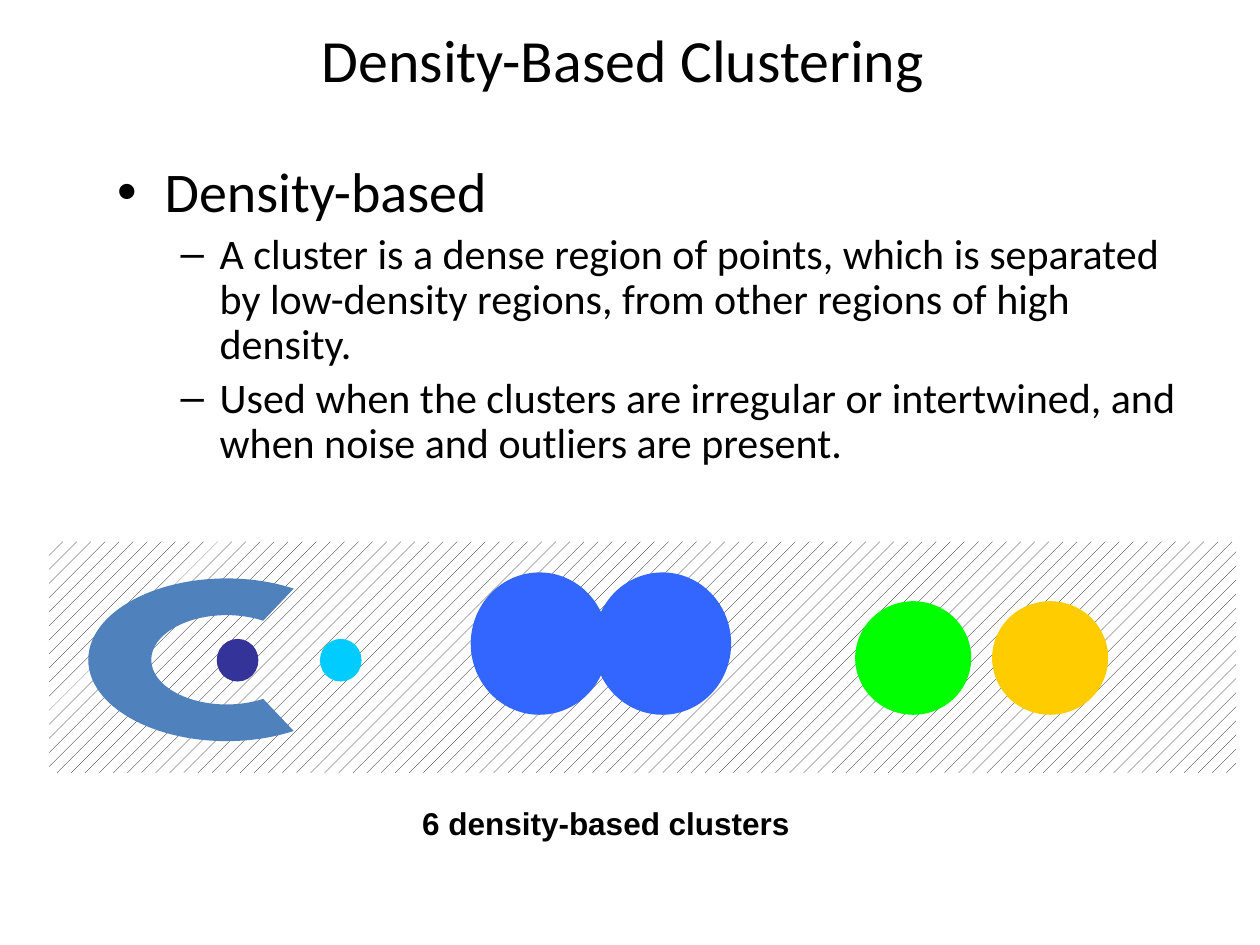
"""Build the density-based clustering slide."""
from dataclasses import dataclass
from itertools import pairwise
from math import cos, radians, sin, tan

from lxml.etree import SubElement
from pptx import Presentation
from pptx.dml.color import RGBColor
from pptx.enum.dml import MSO_PATTERN
from pptx.enum.shapes import MSO_SHAPE
from pptx.enum.text import MSO_ANCHOR, PP_ALIGN
from pptx.oxml.ns import qn
from pptx.util import Cm, Pt


@dataclass(frozen=True)
class Theme:
    ink: str = "000000"
    paper: str = "FFFFFF"
    arc: str = "4F81BD"
    navy: str = "333399"
    cyan: str = "00CCFF"
    green: str = "00FF00"
    gold: str = "FFCC00"
    blue: str = "3366FF"
    main_font: str = "Calibri"
    caption_font: str = "Arial"
    title_size: float = 34.2
    topic_size: float = 32
    detail_size: float = 24
    caption_size: float = 18


@dataclass(frozen=True)
class Bullet:
    text: str
    level: int
    mark: str
    size: float
    margin: float
    hanging: float
    space_before: float


@dataclass(frozen=True)
class Disc:
    left: float
    top: float
    width: float
    height: float
    color: str


THEME = Theme()
ARC_WIDTH, ARC_HEIGHT = 3.28, 5.58
Point = tuple[float, float]


def detail(text: str) -> Bullet:
    return Bullet(text, 1, "–", THEME.detail_size, 2.07, 0.79, 4.8)


BULLETS = [
    Bullet("Density-based", 0, "•", THEME.topic_size, 0.96, 0.96, 0),
    detail("A cluster is a dense region of points, which is separated by "
           "low-density regions, from other regions of high density. "),
    detail("Used when the clusters are irregular or intertwined, and when "
           "noise and outliers are present. "),
]

CORE = Disc(4.37, 12.88, 0.84, 0.86, THEME.navy)
DISCS = [
    Disc(6.45, 12.88, 0.84, 0.86, THEME.cyan),
    Disc(17.24, 12.12, 2.34, 2.29, THEME.green),
    Disc(20, 12.12, 2.34, 2.29, THEME.gold),
    Disc(9.49, 11.54, 2.77, 2.87, THEME.blue),
    Disc(11.97, 11.54, 2.77, 2.87, THEME.blue),
]


def add_box(page, left: float, top: float, width: float, height: float):
    box = page.shapes.add_textbox(Cm(left), Cm(top), Cm(width), Cm(height))
    box.text_frame.word_wrap = True
    return box


def write(para, text: str, font: str, size: float, bold: bool = False) -> None:
    para.text = text
    for span in para.runs:
        span.font.name = font
        span.font.size = Pt(size)
        span.font.bold = bold
        span.font.color.rgb = RGBColor.from_string(THEME.ink)


def add_bullet(para, bullet: Bullet) -> None:
    write(para, bullet.text, THEME.main_font, bullet.size)
    para.level = bullet.level
    para.line_spacing = 0.9
    para.space_before = Pt(bullet.space_before)
    properties = para._p.get_or_add_pPr()
    properties.set("marL", str(Cm(bullet.margin)))
    properties.set("indent", str(-Cm(bullet.hanging)))
    SubElement(properties, qn("a:buFont"), typeface=THEME.caption_font)
    SubElement(properties, qn("a:buChar"), char=bullet.mark)


def paint(shape, color: str) -> None:
    shape.shadow.inherit = False
    shape.line.fill.background()
    shape.fill.solid()
    shape.fill.fore_color.rgb = RGBColor.from_string(color)


def arc_point(radius_x: float, radius_y: float, angle: float, pull: float = 0) -> Point:
    across = sin(angle) + pull * cos(angle)
    upward = cos(angle) - pull * sin(angle)
    return ARC_WIDTH / 2 + radius_x * across, ARC_HEIGHT / 2 - radius_y * upward


def add_segment(outline, kind: str, *points: Point) -> None:
    segment = SubElement(outline, qn(f"a:{kind}"))
    for x, y in points:
        SubElement(segment, qn("a:pt"), x=str(Cm(x)), y=str(Cm(y)))


def add_curves(outline, radii: Point, angles: list[float]) -> None:
    for start, end in pairwise(angles):
        pull = 4 / 3 * tan((end - start) / 4)
        add_segment(outline, "cubicBezTo", arc_point(*radii, start, pull),
                    arc_point(*radii, end, -pull), arc_point(*radii, end))


def add_arc(group) -> None:
    left, top = Cm(2.93), Cm(10.51)
    right, bottom = left + Cm(ARC_WIDTH), top + Cm(ARC_HEIGHT)
    builder = group.shapes.build_freeform(left, top)
    builder.add_line_segments([(right, top), (right, bottom), (left, bottom)])
    arc = builder.convert_to_shape()
    outline = next(arc._element.iter(qn("a:path")))
    for segment in list(outline):
        outline.remove(segment)
    inner, outer = (0.9, 1.52), (ARC_WIDTH / 2, ARC_HEIGHT / 2)
    angles = [radians(angle) for angle in (-119, -90, 0, 90, 119)]
    add_segment(outline, "moveTo", arc_point(*inner, angles[0]))
    add_curves(outline, inner, angles)
    add_segment(outline, "lnTo", arc_point(*outer, angles[-1]))
    add_curves(outline, outer, angles[::-1])
    add_segment(outline, "close")
    arc.rotation = 270
    paint(arc, THEME.arc)


def add_noise(group) -> None:
    noise = group.shapes.add_shape(
        MSO_SHAPE.RECTANGLE, Cm(0.99), Cm(10.92), Cm(23.93), Cm(4.66))
    noise.shadow.inherit = False
    noise.line.fill.background()
    noise.fill.patterned()
    noise.fill.pattern = MSO_PATTERN.PERCENT_10
    noise.fill.fore_color.rgb = RGBColor.from_string(THEME.ink)
    noise.fill.back_color.rgb = RGBColor.from_string(THEME.paper)


def add_disc(group, disc: Disc) -> None:
    shape = group.shapes.add_shape(
        MSO_SHAPE.OVAL, Cm(disc.left), Cm(disc.top),
        Cm(disc.width), Cm(disc.height))
    paint(shape, disc.color)


def build() -> None:
    deck = Presentation()
    deck.slide_width, deck.slide_height = Cm(25.4), Cm(19.05)
    page = deck.slides.add_slide(deck.slide_layouts[6])

    title = add_box(page, 1.05, 0.43, 23.01, 1.52).text_frame
    title.vertical_anchor = MSO_ANCHOR.MIDDLE
    title.paragraphs[0].alignment = PP_ALIGN.CENTER
    write(title.paragraphs[0], "Density-Based Clustering",
          THEME.main_font, THEME.title_size)

    body = add_box(page, 2.11, 3.18, 22, 12.4).text_frame
    for index, bullet in enumerate(BULLETS):
        add_bullet(body.add_paragraph() if index else body.paragraphs[0], bullet)

    clusters = page.shapes.add_group_shape()
    add_noise(clusters)
    add_disc(clusters, CORE)
    add_arc(clusters)
    for disc in DISCS:
        add_disc(clusters, disc)

    caption = add_box(page, 8.26, 16.08, 8.89, 1.02).text_frame
    write(caption.paragraphs[0], "6 density-based clusters",
          THEME.caption_font, THEME.caption_size, bold=True)
    deck.save("out.pptx")


build()
